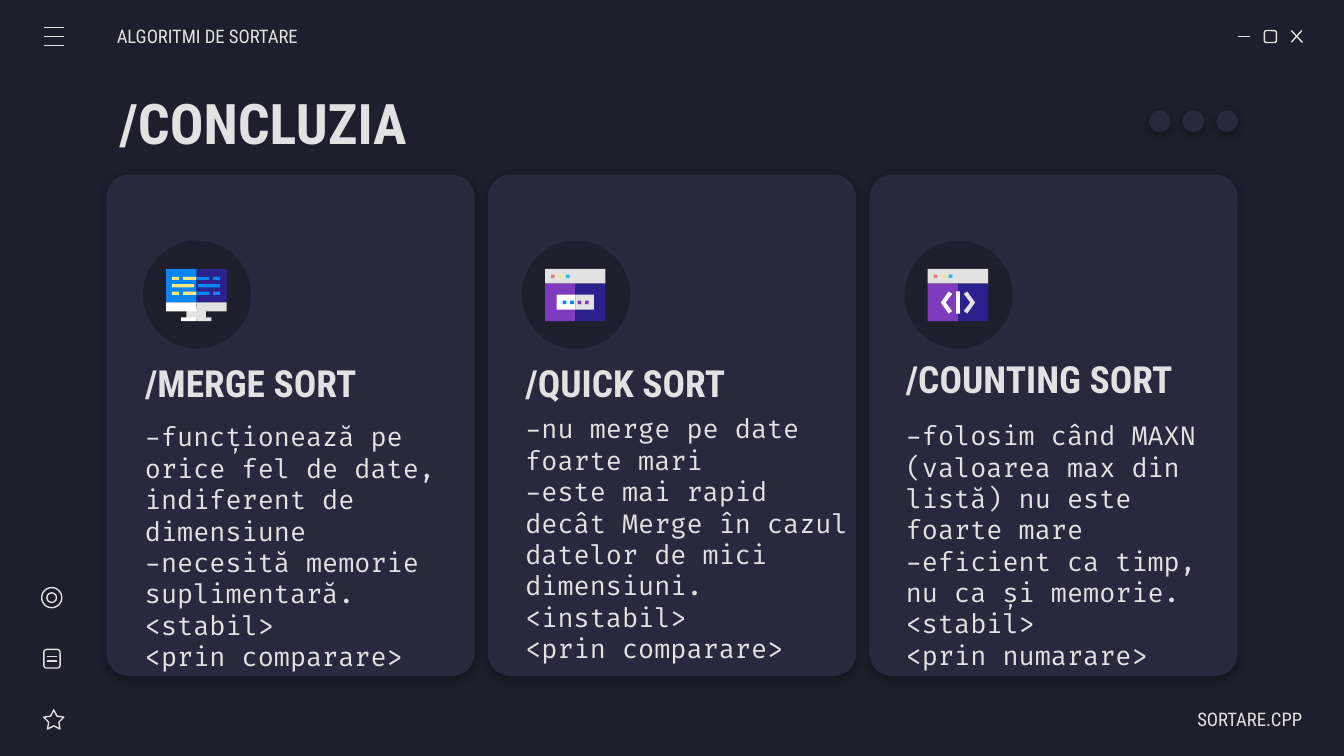
from dataclasses import dataclass
from typing import Callable

from lxml import etree
from pptx import Presentation
from pptx.dml.color import RGBColor
from pptx.enum.shapes import MSO_CONNECTOR, MSO_SHAPE
from pptx.enum.text import MSO_ANCHOR, PP_ALIGN
from pptx.oxml.ns import qn
from pptx.util import Pt

RECTANGLE = MSO_SHAPE.RECTANGLE
ROUNDED = MSO_SHAPE.ROUNDED_RECTANGLE
OVAL = MSO_SHAPE.OVAL
STAR = MSO_SHAPE.STAR_5_POINT
STRAIGHT = MSO_CONNECTOR.STRAIGHT
MIDDLE = MSO_ANCHOR.MIDDLE
LEFT = PP_ALIGN.LEFT
RIGHT = PP_ALIGN.RIGHT

DARK, PANEL, LIGHT, WHITE = "1E1E2C", "29283D", "E2E2E2", "FFFFFF"
NAVY, PURPLE, BLUE = "2B218D", "7E3BBE", "0887F2"
YELLOW, PINK, CYAN = "FFEA7D", "E07A88", "24BFEB"
HEADING_FONT, CODE_FONT = "Roboto Condensed", "Fira Code"
ICON_TOP, ICON_WIDTH, ICON_HALF = 144, 32.4, 16.2


def color(value: str) -> RGBColor:
    return RGBColor.from_string(value)


def add_shadow(shape) -> None:
    effects = etree.SubElement(shape._element.spPr, qn("a:effectLst"))
    shadow = etree.SubElement(effects, qn("a:outerShdw"), blurRad=str(Pt(4.5)), dist=str(Pt(1.5)),
                              dir="5400000", algn="bl", rotWithShape="0")
    shade = etree.SubElement(shadow, qn("a:srgbClr"), val="000000")
    etree.SubElement(shade, qn("a:alpha"), val="30000")


def paint(shape, fill: str | None, line: str | None = None) -> None:
    shape.shadow.inherit = False
    if fill:
        shape.fill.solid()
        shape.fill.fore_color.rgb = color(fill)
    else:
        shape.fill.background()
    if line:
        shape.line.color.rgb = color(line)
        shape.line.width = Pt(0.75)
    else:
        shape.line.fill.background()


def add_block(shapes, kind, left: float, top: float, width: float, height: float,
              fill: str | None = None, line: str | None = None,
              adjustment: float | None = None, shadow: bool = False):
    shape = shapes.add_shape(kind, Pt(left), Pt(top), Pt(width), Pt(height))
    paint(shape, fill, line)
    if adjustment is not None:
        shape.adjustments[0] = adjustment
    if shadow:
        shape._element.spPr.remove(shape._element.spPr.find(qn("a:effectLst")))
        add_shadow(shape)
    return shape


def add_line(shapes, start_x: float, start_y: float, end_x: float, end_y: float) -> None:
    connector = shapes.add_connector(STRAIGHT, Pt(start_x), Pt(start_y), Pt(end_x), Pt(end_y))
    connector.line.color.rgb = color(LIGHT)
    connector.line.width = Pt(0.75)
    etree.SubElement(connector._element.spPr, qn("a:effectLst"))


def add_polygon(shapes, points: list[tuple[float, float]], fill: str) -> None:
    corners = [(Pt(x), Pt(y)) for x, y in points]
    builder = shapes.build_freeform(*corners[0])
    builder.add_line_segments(corners[1:], close=True)
    paint(builder.convert_to_shape(), fill)


def add_text(slide, text: str, left: float, top: float, width: float, height: float, *,
             size: float, font: str = HEADING_FONT, bold: bool = False, align=LEFT,
             left_inset: float = 7.2, right_inset: float = 7.2) -> None:
    frame = slide.shapes.add_textbox(Pt(left), Pt(top), Pt(width), Pt(height)).text_frame
    frame.word_wrap = True
    frame.vertical_anchor = MIDDLE
    frame.margin_left, frame.margin_right = Pt(left_inset), Pt(right_inset)
    frame.margin_top = frame.margin_bottom = Pt(7.2)
    frame.text = text
    for paragraph in frame.paragraphs:
        paragraph.alignment = align
        paragraph.font.name = font
        paragraph.font.size = Pt(size)
        paragraph.font.bold = bold
        paragraph.font.color.rgb = color(LIGHT)


def draw_parts(shapes, left: float, parts: list[tuple[float, float, float, float, str]]) -> None:
    for x, y, width, height, fill in parts:
        add_block(shapes, RECTANGLE, left + x, ICON_TOP + y, width, height, fill)


def draw_monitor(shapes, left: float) -> None:
    draw_parts(shapes, left, [
        (ICON_HALF, 0, ICON_HALF, 18, NAVY), (0, 0, ICON_HALF, 18, BLUE),
        (10.8, 21.6, 10.6, 5, LIGHT),
        (ICON_HALF, 26, 8.1, 2, LIGHT), (8, 26, 8.2, 2, WHITE),
        (ICON_HALF, 18, ICON_HALF, 4.8, LIGHT), (0, 18, ICON_HALF, 4.8, WHITE),
        (3.1, 8.3, 11.9, 1.7, YELLOW), (17, 8.3, 12, 1.7, BLUE)])
    for y in (4.3, 12.3):
        draw_parts(shapes, left, [
            (3.1, y, 3.7, 1.7, YELLOW), (9, y, 7.2, 1.7, YELLOW),
            (ICON_HALF, y, 7, 1.7, BLUE), (25.2, y, 3.8, 1.7, BLUE)])


def draw_window(shapes, left: float) -> None:
    draw_parts(shapes, left, [
        (ICON_HALF, 7.8, ICON_HALF, 20.3, NAVY), (0, 7.8, ICON_HALF, 20.3, PURPLE),
        (0, 0, ICON_WIDTH, 7.8, LIGHT)])
    draw_parts(shapes, left, [(3.2 + 4 * index, 3.2, 2, 1.7, fill)
                              for index, fill in enumerate((PINK, YELLOW, CYAN))])


def draw_field_window(shapes, left: float) -> None:
    draw_window(shapes, left)
    draw_parts(shapes, left, [(ICON_HALF, 13.9, 10, 8.1, LIGHT), (6.2, 13.9, 10, 8.1, WHITE)])
    draw_parts(shapes, left, [(9.4 + 4 * index, 17, 2, 2, fill)
                              for index, fill in enumerate((BLUE, BLUE, PURPLE, PURPLE))])


def draw_code_window(shapes, left: float) -> None:
    draw_window(shapes, left)
    chevron = [(11.2, 12.2), (7, 18.1), (11.2, 24), (13.1, 22.7), (9.6, 18.1), (13.1, 13.5)]
    add_polygon(shapes, [(left + x, ICON_TOP + y) for x, y in chevron], WHITE)
    add_polygon(shapes, [(left + ICON_WIDTH - x, ICON_TOP + y) for x, y in chevron], LIGHT)
    draw_parts(shapes, left, [(15.2, 12.2, 2, 11.9, WHITE)])


@dataclass
class Card:
    heading: str
    body: str
    icon_left: float
    draw_icon: Callable
    heading_top: float
    body_top: float
    body_width: float
    body_height: float


CARDS = [
    Card("/MERGE SORT",
         "-funcționează pe orice fel de date, indiferent de dimensiune\n"
         "-necesită memorie suplimentară.\n<stabil>\n<prin comparare>",
         89, draw_monitor, 186.5, 238.3, 182.2, 108.7),
    Card("/QUICK SORT",
         "-nu merge pe date foarte mari\n"
         "-este mai rapid decât Merge în cazul datelor de mici dimensiuni.\n"
         "<instabil>\n<prin comparare>",
         292, draw_field_window, 186.5, 238.3, 190.1, 100.1),
    Card("/COUNTING SORT",
         "-folosim când MAXN (valoarea max din listă) nu este foarte mare\n"
         "-eficient ca timp, nu ca și memorie.\n<stabil>\n<prin numarare>",
         497, draw_code_window, 184.3, 232.6, 171.4, 118.8),
]


def draw_card(slide, index: int, card: Card) -> None:
    add_block(slide.shapes, ROUNDED, 57 + 204.4 * index, 93.6, 197.3, 268.6, PANEL,
              adjustment=0.062, shadow=True)
    add_block(slide.shapes, OVAL, card.icon_left - 12.4, 128.9, 57.9, 57.9, DARK)
    text_left = 70.6 + 203.8 * index
    add_text(slide, card.heading, text_left, card.heading_top, 171.4, 36.7, size=20, bold=True)
    add_text(slide, card.body, text_left, card.body_top, card.body_width, card.body_height,
             size=14, font=CODE_FONT)
    card.draw_icon(slide.shapes.add_group_shape().shapes, card.icon_left)


def draw_window_controls(slide) -> None:
    shapes = slide.shapes.add_group_shape().shapes
    add_line(shapes, 663.1, 19.6, 669.8, 19.6)
    add_block(shapes, ROUNDED, 677.4, 16.4, 6.4, 6.4, line=LIGHT)
    add_line(shapes, 691.8, 16.4, 697.8, 22.8)
    add_line(shapes, 697.4, 16.4, 691.8, 22.6)


def draw_sidebar(slide) -> None:
    menu = slide.shapes.add_group_shape().shapes
    for row in range(3):
        add_line(menu, 23.4, 14.8 + 4.8 * row, 34.2, 14.8 + 4.8 * row)
    icons = slide.shapes.add_group_shape().shapes
    add_block(icons, STAR, 23.4, 380.3, 10.8, 10.3, line=LIGHT, adjustment=0.254)
    add_block(icons, ROUNDED, 23.5, 347.9, 8.7, 10, line=LIGHT)
    for y in (351.6, 354.2):
        add_line(icons, 25.2, y, 30.4, y)
    add_block(icons, OVAL, 22.3, 314.8, 10.8, 10.8, line=LIGHT)
    add_block(icons, OVAL, 25.1, 317.6, 5.2, 5.2, line=LIGHT)


def main() -> None:
    presentation = Presentation()
    presentation.slide_width, presentation.slide_height = Pt(720), Pt(405)
    slide = presentation.slides.add_slide(presentation.slide_layouts[6])
    slide.background.fill.solid()
    slide.background.fill.fore_color.rgb = color(DARK)
    draw_window_controls(slide)
    draw_sidebar(slide)
    add_text(slide, "ALGORITMI DE SORTARE", 62.6, 8.6, 152, 21.6, size=10, left_inset=0)
    add_text(slide, "SORTARE.CPP", 613.4, 374.4, 84.2, 21.6, size=10, align=RIGHT, right_inset=0)
    add_text(slide, "/CONCLUZIA", 56.9, 42.5, 357.8, 45.4, size=30, bold=True)
    for index, card in enumerate(CARDS):
        draw_card(slide, index, card)
    dots = slide.shapes.add_group_shape().shapes
    for index in range(3):
        add_block(dots, OVAL, 615.6 + 18 * index, 59.2, 11.5, 11.5, PANEL, shadow=True)
    presentation.save("out.pptx")


if __name__ == "__main__":
    main()
